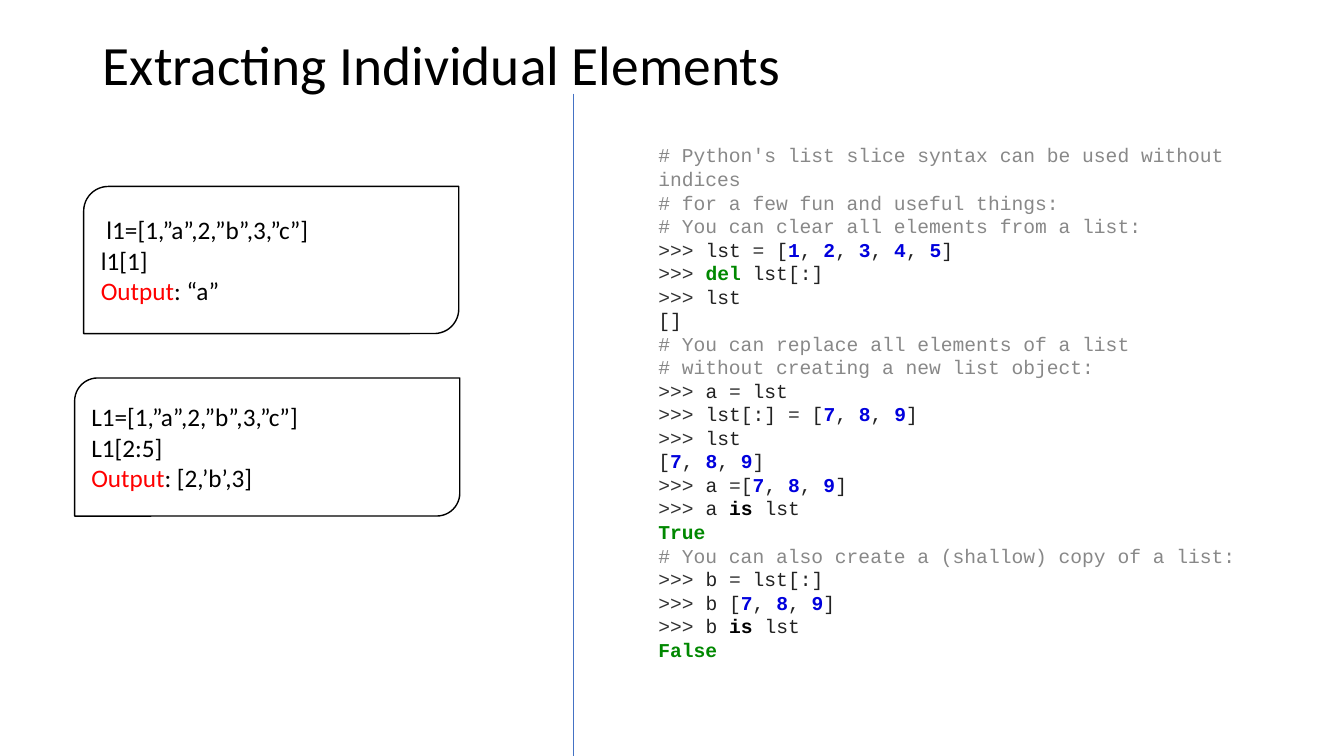
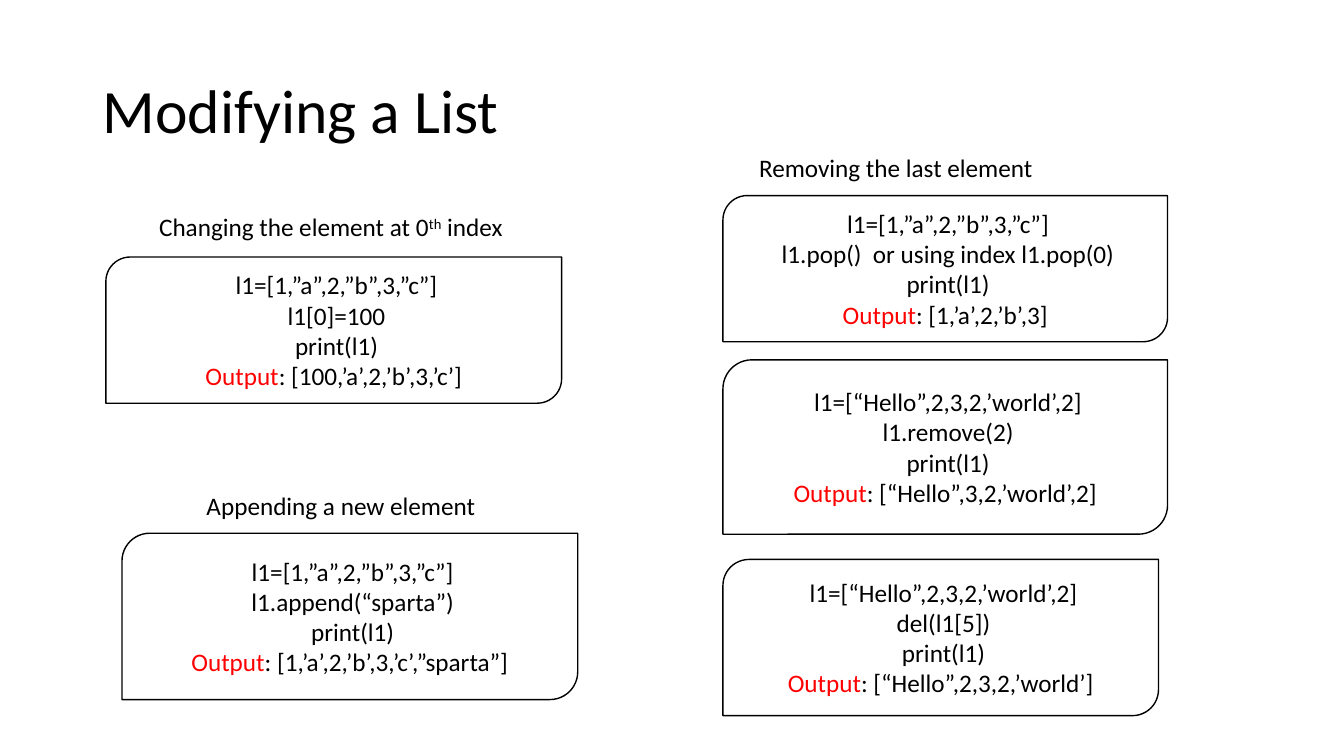
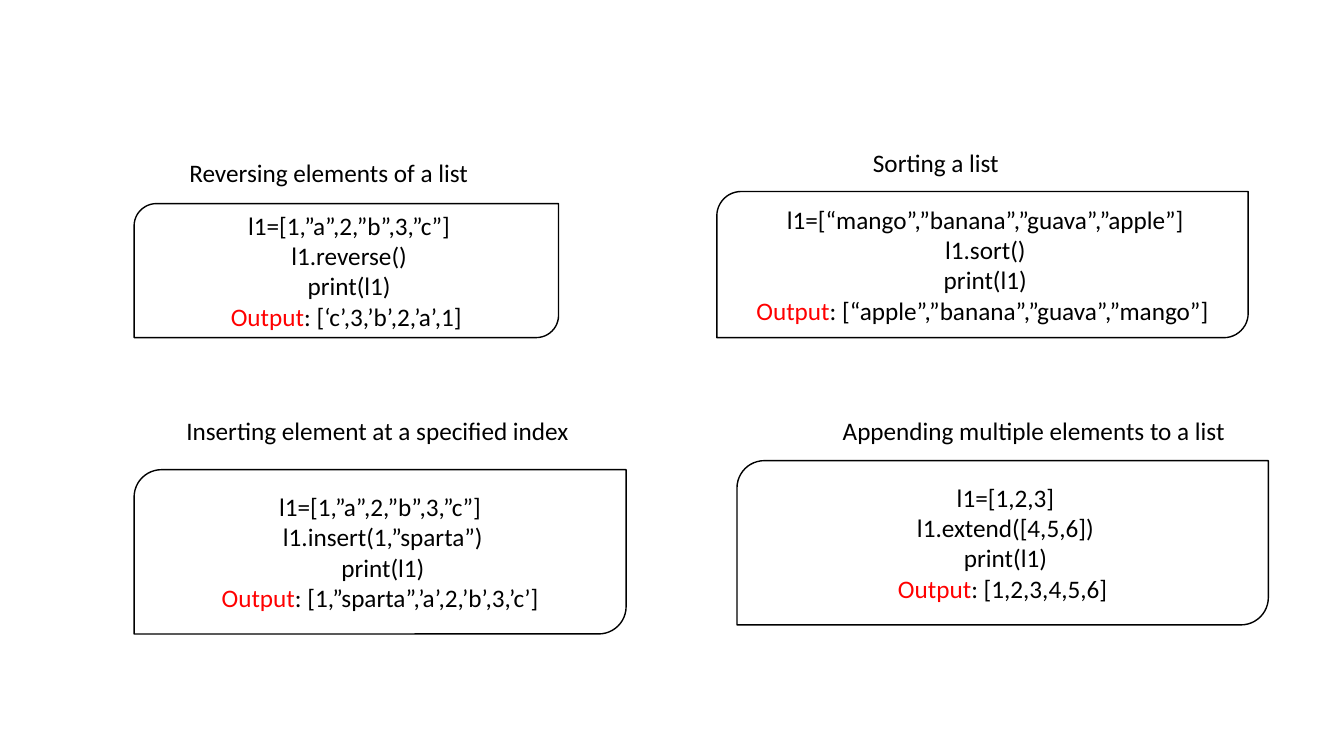
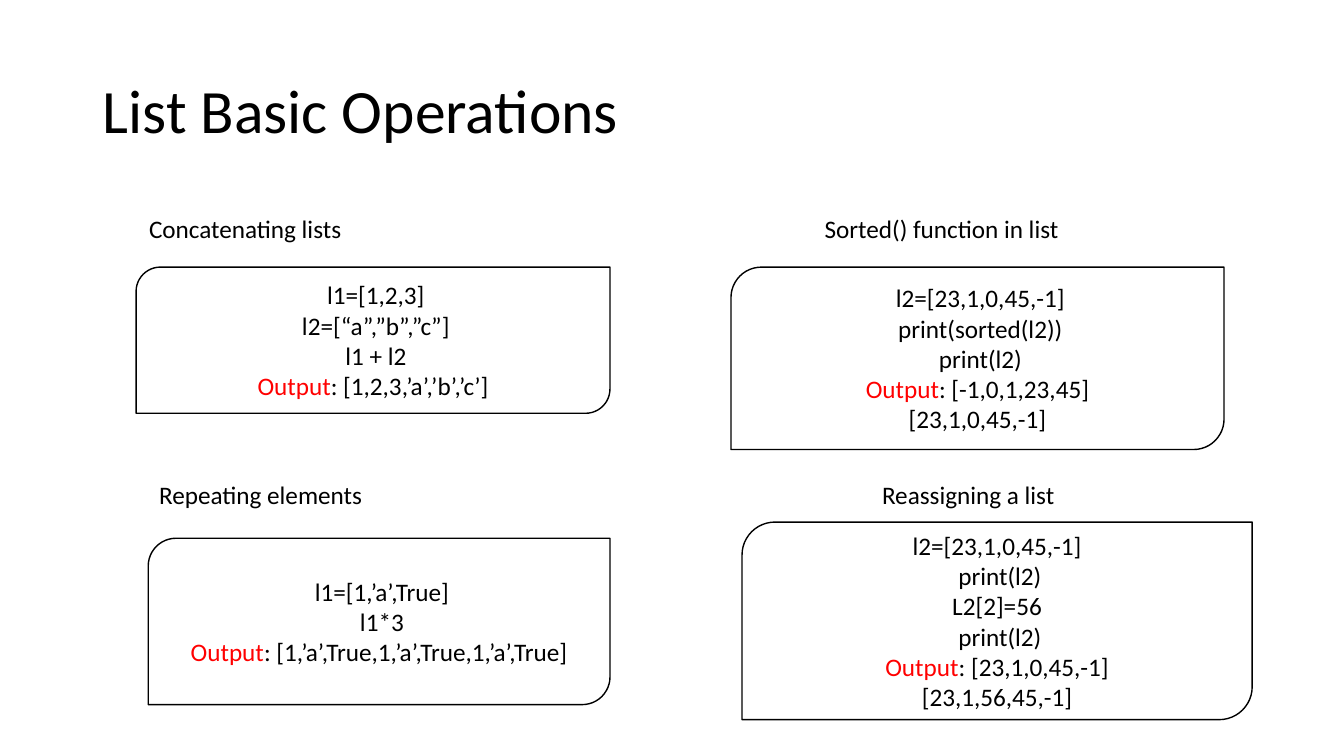
from itertools import groupby

from lxml.etree import SubElement
from pptx import Presentation
from pptx.dml.color import RGBColor
from pptx.enum.shapes import MSO_CONNECTOR as Connector, MSO_SHAPE as Shape
from pptx.enum.text import MSO_ANCHOR as Anchor, MSO_AUTO_SIZE as AutoSize, PP_ALIGN as Align
from pptx.oxml.ns import qn
from pptx.util import Inches, Pt

BLACK = RGBColor(0x00, 0x00, 0x00)
WHITE = RGBColor(0xFF, 0xFF, 0xFF)
RED = RGBColor(0xFF, 0x00, 0x00)
BLUE = RGBColor(0x44, 0x72, 0xC4)
CODE_TEXT = RGBColor(0x22, 0x22, 0x22)
CODE_SIGN = RGBColor(0x33, 0x33, 0x33)
CODE_NOTE = RGBColor(0x88, 0x88, 0x88)
CODE_NUMBER = RGBColor(0x00, 0x00, 0xDD)
CODE_WORD = RGBColor(0x00, 0x88, 0x00)

KEYWORDS = {"del": CODE_WORD, "True": CODE_WORD, "False": CODE_WORD, "is": BLACK}
TITLE_ONLY, BLANK = 5, 6

SESSION = """# Python's list slice syntax can be used without indices
# for a few fun and useful things:
# You can clear all elements from a list:
>>> lst = [1, 2, 3, 4, 5]
>>> del lst[:]
>>> lst
[]
# You can replace all elements of a list
# without creating a new list object:
>>> a = lst
>>> lst[:] = [7, 8, 9]
>>> lst
[7, 8, 9]
>>> a =[7, 8, 9]
>>> a is lst
True
# You can also create a (shallow) copy of a list:
>>> b = lst[:]
>>> b [7, 8, 9]
>>> b is lst
False"""


def char_kind(char):
    """Sort a character of code into number, word, sign or other."""
    if char.isdigit():
        return "number"
    if char.isalpha():
        return "word"
    return "sign" if char in ">=" else "other"


def highlight(line):
    """Split a line of code into (text, colour, bold) spans."""
    if line.startswith("#"):
        return [(line, CODE_NOTE, False)]
    spans = []
    for kind, chars in groupby(line, char_kind):
        text = "".join(chars)
        if kind == "number":
            spans.append((text, CODE_NUMBER, True))
        elif text in KEYWORDS:
            spans.append((text, KEYWORDS[text], True))
        else:
            spans.append((text, CODE_SIGN if kind == "sign" else CODE_TEXT, False))
    return spans


def mark_output(line):
    """Colour the word that introduces a result."""
    word = "Output"
    if line.startswith(word):
        return [(word, RED, False), (line[len(word):], BLACK, False)]
    return [(line, BLACK, False)]


class Deck:
    """Holds the shared style and the current page."""

    font, code_font = "Calibri", "Courier New"
    body_size, code_size = 18, 14

    def __init__(self):
        """Start an empty wide presentation."""
        self.file = Presentation()
        self.file.slide_width, self.file.slide_height = Inches(13.33), Inches(7.5)
        self.page = None

    def add_page(self, title=None, height=1.45, size=44):
        """Add a page, with a title if one is given."""
        layout = self.file.slide_layouts[TITLE_ONLY if title else BLANK]
        self.page = self.file.slides.add_slide(layout)
        if not title:
            return
        box = self.page.shapes.title
        box.left, box.top = Inches(0.92), Inches(0.4)
        box.width, box.height = Inches(11.5), Inches(height)
        frame = box.text_frame
        frame.text = title
        frame.auto_size, frame.vertical_anchor = AutoSize.NONE, Anchor.MIDDLE
        paragraph = frame.paragraphs[0]
        paragraph.alignment, paragraph.line_spacing = Align.LEFT, 0.9
        self.format_span(paragraph.runs[0], size)

    def format_span(self, span, size, colour=BLACK, bold=False, font=font):
        """Give a run its font, size and colour."""
        span.font.name, span.font.size = font, Pt(size)
        span.font.bold = bold
        span.font.color.rgb = colour

    def fill_text(self, frame, lines, size, align=Align.LEFT, font=font):
        """Set one paragraph per list of (text, colour, bold) spans."""
        for index, spans in enumerate(lines):
            paragraph = frame.add_paragraph() if index else frame.paragraphs[0]
            paragraph.alignment = align
            for text, colour, bold in spans:
                span = paragraph.add_run()
                span.text = text
                self.format_span(span, size, colour, bold, font)

    def add_label(self, left, top, width, text):
        """Add a one-line caption; text between carets is raised."""
        box = self.page.shapes.add_textbox(*map(Inches, (left, top, width, 0.4)))
        frame = box.text_frame
        frame.word_wrap, frame.auto_size = False, AutoSize.SHAPE_TO_FIT_TEXT
        pieces = text.split("^")
        self.fill_text(frame, [[(piece, BLACK, False) for piece in pieces]], self.body_size)
        for span in frame.paragraphs[0].runs[1::2]:
            span._r.get_or_add_rPr().set("baseline", "30000")

    def add_card(self, left, top, width, height, text, align=Align.CENTER):
        """Add an outlined card with an example and its output."""
        card = self.page.shapes.add_shape(
            Shape.ROUND_2_DIAG_RECTANGLE, *map(Inches, (left, top, width, height)))
        card.shadow.inherit = False
        card.fill.solid()
        card.fill.fore_color.rgb = WHITE
        card.line.color.rgb, card.line.width = BLACK, Pt(1)
        frame = card.text_frame
        frame.word_wrap, frame.vertical_anchor = True, Anchor.MIDDLE
        lines = [mark_output(line) for line in text.split("\n")]
        self.fill_text(frame, lines, self.body_size, align)

    def add_code(self, left, top, width, height, text):
        """Add a highlighted interpreter session."""
        box = self.page.shapes.add_textbox(*map(Inches, (left, top, width, height)))
        frame = box.text_frame
        frame.margin_left = frame.margin_right = frame.margin_top = frame.margin_bottom = 0
        frame.word_wrap, frame.vertical_anchor = True, Anchor.MIDDLE
        frame.auto_size = AutoSize.SHAPE_TO_FIT_TEXT
        lines = [highlight(line) for line in text.split("\n")]
        self.fill_text(frame, lines, self.code_size, font=self.code_font)

    def add_divider(self, left, top, bottom):
        """Add a thin vertical line."""
        line = self.page.shapes.add_connector(
            Connector.STRAIGHT, *map(Inches, (left, top, left, bottom)))
        line.line.color.rgb, line.line.width = BLUE, Pt(0.5)
        SubElement(line._element.spPr, qn("a:effectLst"))


def build_extracting(deck):
    """Index and slice examples beside an interpreter session."""
    deck.add_page("Extracting Individual Elements", height=0.53, size=39.6)
    deck.add_card(0.83, 1.85, 3.72, 1.46,
                  " l1=[1,”a”,2,”b”,3,”c”]\nl1[1]\nOutput: “a”", Align.LEFT)
    deck.add_card(0.74, 3.75, 3.82, 1.37,
                  "L1=[1,”a”,2,”b”,3,”c”]\nL1[2:5]\nOutput: [2,’b’,3]", Align.LEFT)
    deck.add_code(6.53, 1.4, 5.97, 5.18, SESSION)
    deck.add_divider(5.69, 0.93, 7.5)


def build_modifying(deck):
    """Changing, appending and removing elements."""
    right = 7.17
    deck.add_page("Modifying a List")
    deck.add_label(1.48, 2.05, 3.67, "Changing the element at 0^th^ index")
    deck.add_card(1.05, 2.55, 4.52, 1.45,
                  " l1=[1,”a”,2,”b”,3,”c”]\n l1[0]=100\n print(l1)\n"
                  "Output: [100,’a’,2,’b’,3,’c’]")
    deck.add_label(1.95, 4.82, 2.9, "Appending a new element")
    deck.add_card(1.21, 5.29, 4.52, 1.65,
                  " l1=[1,”a”,2,”b”,3,”c”]\n l1.append(“sparta”)\n print(l1)\n"
                  "Output: [1,’a’,2,’b’,3,’c’,”sparta”]")
    deck.add_label(7.43, 1.46, 2.95, "Removing the last element")
    deck.add_card(right, 1.94, 4.41, 1.45,
                  " l1=[1,”a”,2,”b”,3,”c”]\n l1.pop()  or using index l1.pop(0)\n"
                  " print(l1)\nOutput: [1,’a’,2,’b’,3]")
    deck.add_card(right, 3.57, 4.41, 1.73,
                  " l1=[“Hello”,2,3,2,’world’,2]\n l1.remove(2)\n print(l1)\n"
                  "Output: [“Hello”,3,2,’world’,2]")
    deck.add_card(right, 5.55, 4.32, 1.55,
                  " l1=[“Hello”,2,3,2,’world’,2]\n del(l1[5])\n print(l1)\n"
                  "Output: [“Hello”,2,3,2,’world’]")


def build_methods(deck):
    """Reversing, sorting, inserting and extending."""
    deck.add_page()
    deck.add_label(1.78, 1.51, 3, "Reversing elements of a list")
    deck.add_card(1.33, 2.02, 4.21, 1.33,
                  " l1=[1,”a”,2,”b”,3,”c”]\n l1.reverse()\n print(l1)\n"
                  "Output: [‘c’,3,’b’,2,’a’,1]")
    deck.add_label(8.56, 1.41, 1.46, "Sorting a list")
    deck.add_card(7.11, 1.9, 5.27, 1.45,
                  " l1=[“mango”,”banana”,”guava”,”apple”]\n l1.sort()\n print(l1)\n"
                  "Output: [“apple”,”banana”,”guava”,”mango”]")
    deck.add_label(1.75, 4.07, 4.04, "Inserting element at a specified index")
    deck.add_card(1.33, 4.66, 4.88, 1.63,
                  "l1=[1,”a”,2,”b”,3,”c”]\n l1.insert(1,”sparta”)\n print(l1)\n"
                  "Output: [1,”sparta”,’a’,2,’b’,3,’c’]")
    deck.add_label(8.26, 4.07, 4.04, "Appending multiple elements to a list")
    deck.add_card(7.31, 4.57, 5.27, 1.63,
                  " l1=[1,2,3]\n l1.extend([4,5,6])\n print(l1)\nOutput: [1,2,3,4,5,6]")


def build_operations(deck):
    """Joining, repeating, sorting and reassigning."""
    deck.add_page("List Basic Operations")
    deck.add_label(1.38, 2.07, 2.13, "Concatenating lists")
    deck.add_card(1.35, 2.65, 4.7, 1.45,
                  " l1=[1,2,3]\n l2=[“a”,”b”,”c”]\n l1 + l2\n"
                  "Output: [1,2,3,’a’,’b’,’c’]")
    deck.add_label(1.48, 4.71, 2.24, "Repeating elements")
    deck.add_card(1.47, 5.34, 4.58, 1.65,
                  " l1=[1,’a’,True]\n l1*3\n"
                  "Output: [1,’a’,True,1,’a’,True,1,’a’,True]")
    deck.add_label(8.08, 2.07, 2.55, "Sorted() function in list")
    deck.add_card(7.25, 2.65, 4.89, 1.81,
                  " l2=[23,1,0,45,-1]\n print(sorted(l2))\n print(l2)\n"
                  "Output: [-1,0,1,23,45]\n[23,1,0,45,-1]")
    deck.add_label(8.65, 4.71, 1.93, "Reassigning a list")
    deck.add_card(7.36, 5.18, 5.06, 1.96,
                  "l2=[23,1,0,45,-1]\n print(l2)\nL2[2]=56\n print(l2)\n"
                  "Output: [23,1,0,45,-1]\n[23,1,56,45,-1]")


deck = Deck()
for build in (build_extracting, build_modifying, build_methods, build_operations):
    build(deck)
deck.file.save("out.pptx")
